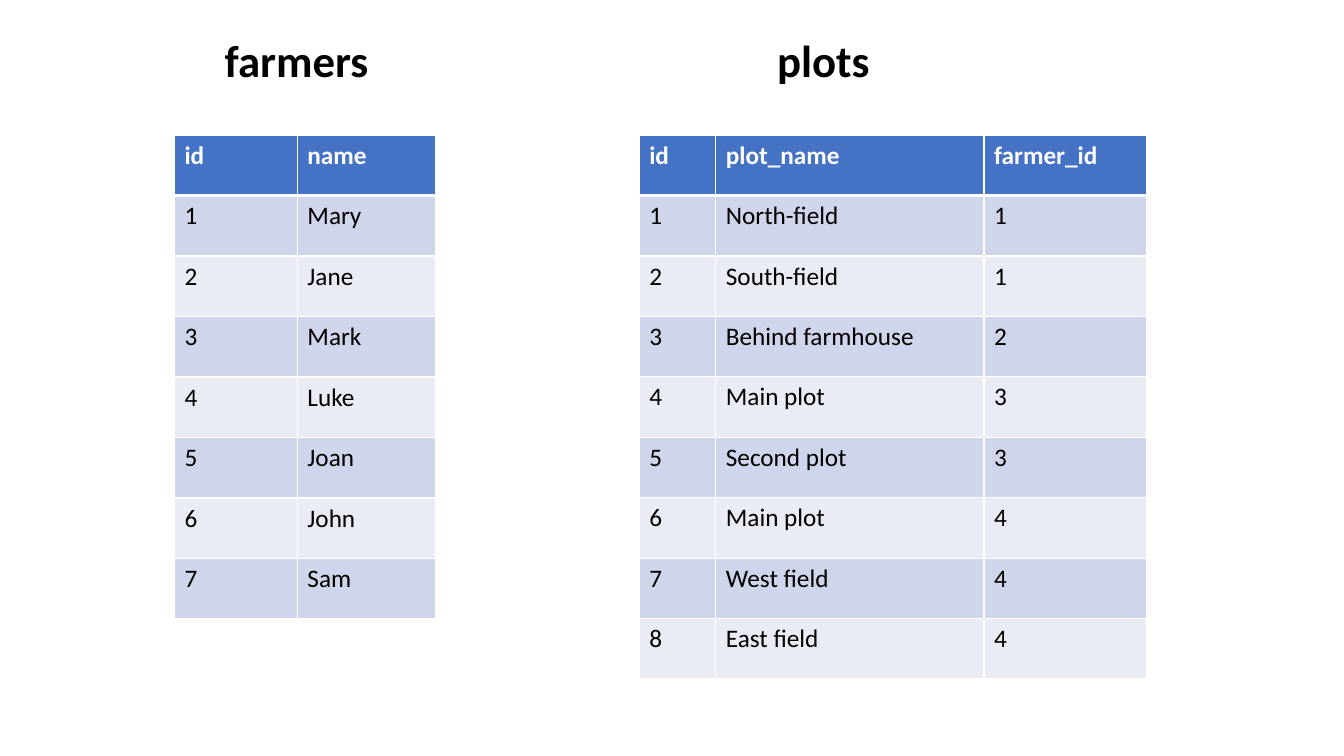
from dataclasses import dataclass

from lxml.etree import SubElement
from pptx import Presentation
from pptx.dml.color import RGBColor
from pptx.enum.text import MSO_AUTO_SIZE
from pptx.oxml.ns import qn
from pptx.util import Inches, Pt


@dataclass(frozen=True)
class Theme:
    """Colours, font and type sizes of the slide."""
    font: str = "Calibri"
    title_size: int = 32
    cell_size: int = 18
    header: str = "4472C4"
    bands: tuple = ("CFD5EA", "E9EBF5")
    white: str = "FFFFFF"
    black: str = "000000"


theme = Theme()
TABLE_TOP, ROW_HEIGHT = 1.34, 0.6
TITLE_TOP, TITLE_HEIGHT = 0.28, 0.64

tables = [
    {
        "title": "farmers", "title_left": 2.13, "title_width": 1.64,
        "left": 1.73, "columns": [1.22, 1.37],
        "rows": [
            ("id", "name"),
            ("1", "Mary"),
            ("2", "Jane"),
            ("3", "Mark"),
            ("4", "Luke"),
            ("5", "Joan"),
            ("6", "John"),
            ("7", "Sam"),
        ],
    },
    {
        "title": "plots", "title_left": 7.61, "title_width": 1.13,
        "left": 6.34, "columns": [0.76, 2.66, 1.61],
        "rows": [
            ("id", "plot_name", "farmer_id"),
            ("1", "North-field", "1"),
            ("2", "South-field", "1"),
            ("3", "Behind farmhouse", "2"),
            ("4", "Main plot", "3"),
            ("5", "Second plot", "3"),
            ("6", "Main plot", "4"),
            ("7", "West field", "4"),
            ("8", "East field", "4"),
        ],
    },
]


def write(frame, text, size, color, bold):
    """Put one styled paragraph into a text frame."""
    paragraph = frame.paragraphs[0]
    paragraph.text = text
    paragraph.font.name = theme.font
    paragraph.font.size = Pt(size)
    paragraph.font.bold = bold
    paragraph.font.color.rgb = RGBColor.from_string(color)


def add_borders(cell, widths):
    """Draw white borders, given as points for each side of a cell."""
    properties = cell._tc.get_or_add_tcPr()
    for side, points in widths.items():
        line = SubElement(properties, qn(f"a:ln{side}"), w=str(Pt(points)))
        fill = SubElement(line, qn("a:solidFill"))
        SubElement(fill, qn("a:srgbClr"), val=theme.white)


deck = Presentation()
deck.slide_width, deck.slide_height = Inches(13.33), Inches(7.5)
page = deck.slides.add_slide(deck.slide_layouts[6])

for data in tables:
    rows, columns = data["rows"], data["columns"]
    grid = page.shapes.add_table(
        len(rows), len(columns), Inches(data["left"]), Inches(TABLE_TOP),
        Inches(sum(columns)), Inches(ROW_HEIGHT * len(rows))).table
    for column, width in zip(grid.columns, columns):
        column.width = Inches(width)

    for row_index, values in enumerate(rows):
        is_header = row_index == 0
        fill_color = theme.header if is_header else theme.bands[(row_index - 1) % 2]
        text_color = theme.white if is_header else theme.black
        widths = {"L": 1, "R": 1, "T": 3 if row_index == 1 else 1, "B": 3 if is_header else 1}
        for column_index, value in enumerate(values):
            cell = grid.cell(row_index, column_index)
            add_borders(cell, widths)
            cell.fill.solid()
            cell.fill.fore_color.rgb = RGBColor.from_string(fill_color)
            write(cell.text_frame, value, theme.cell_size, text_color, is_header)

for data in tables:
    box = page.shapes.add_textbox(
        Inches(data["title_left"]), Inches(TITLE_TOP),
        Inches(data["title_width"]), Inches(TITLE_HEIGHT))
    box.text_frame.word_wrap = False
    box.text_frame.auto_size = MSO_AUTO_SIZE.SHAPE_TO_FIT_TEXT
    write(box.text_frame, data["title"], theme.title_size, theme.black, True)

deck.save("out.pptx")
